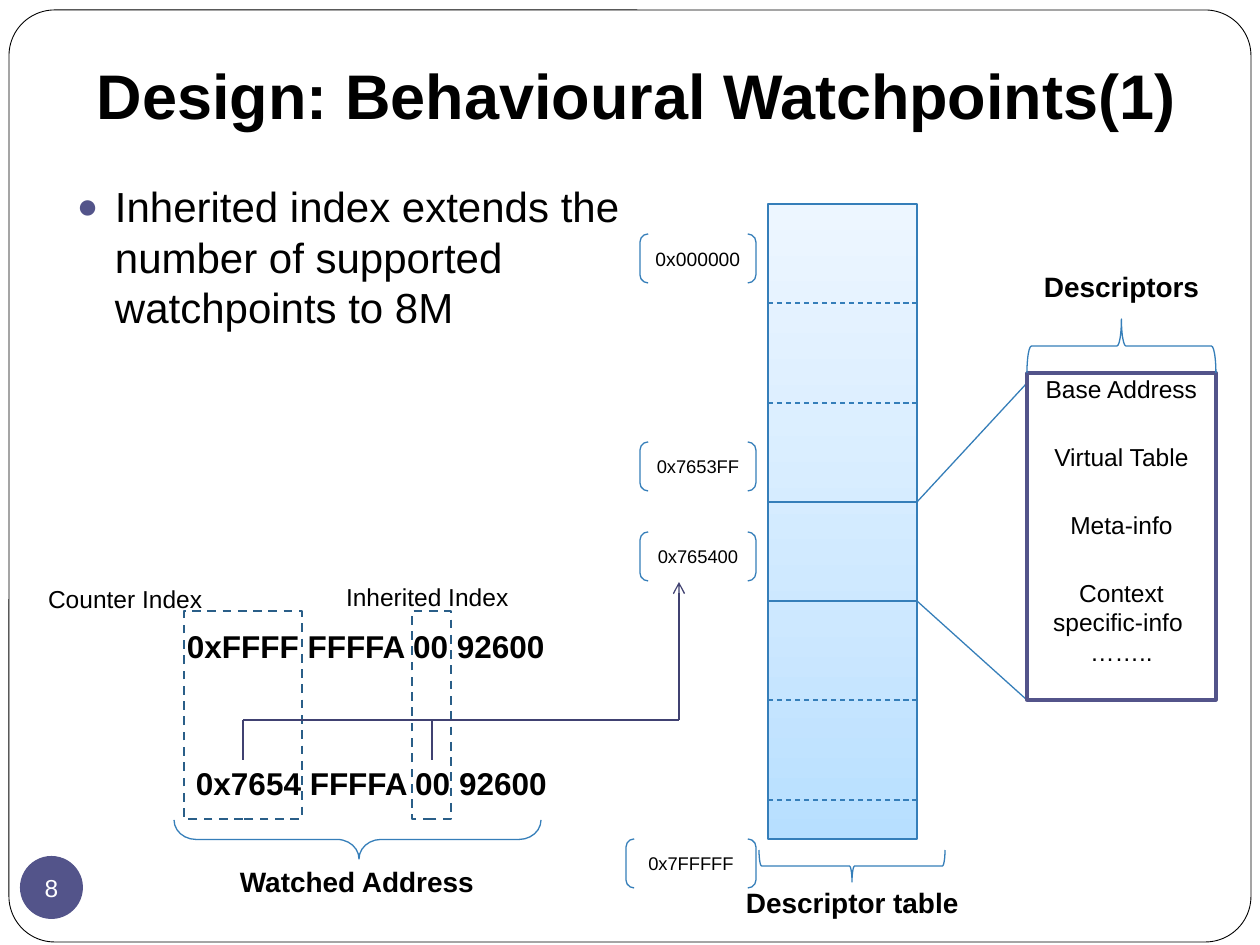
from copy import deepcopy

from lxml import etree
from pptx import Presentation
from pptx.dml.color import RGBColor
from pptx.enum.dml import MSO_LINE
from pptx.enum.shapes import MSO_CONNECTOR, MSO_SHAPE
from pptx.enum.text import MSO_ANCHOR, MSO_AUTO_SIZE, PP_ALIGN
from pptx.oxml.ns import qn
from pptx.util import Pt

PX = 914400 / 126
FONT = "Arial"
BLACK, WHITE, ACCENT = "000000", "FFFFFF", "53548A"
BLUE, DARK_BLUE, PURPLE = "357EB9", "2A5E88", "404171"
LEFT, CENTER = PP_ALIGN.LEFT, PP_ALIGN.CENTER
TOP, MIDDLE, BOTTOM = MSO_ANCHOR.TOP, MSO_ANCHOR.MIDDLE, MSO_ANCHOR.BOTTOM
DASH = MSO_LINE.DASH
RECTANGLE, ROUNDED, ELLIPSE = MSO_SHAPE.RECTANGLE, MSO_SHAPE.ROUNDED_RECTANGLE, MSO_SHAPE.OVAL
BRACKETS, BRACE = MSO_SHAPE.DOUBLE_BRACKET, MSO_SHAPE.RIGHT_BRACE


def px(*lengths):
    return [round(length * PX) for length in lengths]


def color(hex_string):
    return RGBColor.from_string(hex_string)


def write(shape, text, size=14, bold=False, hue=BLACK, align=LEFT, anchor=TOP,
          insets=(13, 6, 13, 6), wrap=True, gaps=()):
    """Write one paragraph per line of text; gaps are points before each."""
    frame = shape.text_frame
    frame.auto_size = MSO_AUTO_SIZE.NONE
    frame.word_wrap = wrap
    frame.vertical_anchor = anchor
    (frame.margin_left, frame.margin_top,
     frame.margin_right, frame.margin_bottom) = px(*insets)
    for index, line in enumerate(text.split("\n")):
        paragraph = frame.add_paragraph() if index else frame.paragraphs[0]
        paragraph.alignment = align
        if gaps:
            paragraph.space_before = Pt(gaps[index])
        run = paragraph.add_run()
        run.text = line
        run.font.name, run.font.size, run.font.bold = FONT, Pt(size), bold
        run.font.color.rgb = color(hue)


class Canvas:
    """Holds the current slide and draws each kind of element on it."""

    def __init__(self, slide, line_color=BLUE, line_width=0.75):
        self.slide = slide
        self.line_color = line_color
        self.line_width = line_width

    def style_line(self, line, hue, width, dash):
        line.color.rgb = color(hue or self.line_color)
        line.width = Pt(width or self.line_width)
        if dash:
            line.dash_style = dash

    def title(self, text, box):
        shape = self.slide.shapes.title
        shape.left, shape.top, shape.width, shape.height = px(*box)
        write(shape, text, size=36, bold=True, anchor=BOTTOM, insets=(13, 6, 13, 13))

    def text(self, text, box, **style):
        shape = self.slide.shapes.add_textbox(*px(*box))
        write(shape, text, **style)
        return shape

    def bullet(self, text, box):
        paragraph = self.text(text, box, size=24).text_frame.paragraphs[0]
        properties = paragraph._p.get_or_add_pPr()
        indent = px(38)[0]
        properties.set("marL", str(indent))
        properties.set("indent", str(-indent))
        bullet_color = etree.SubElement(properties, qn("a:buClr"))
        etree.SubElement(bullet_color, qn("a:srgbClr"), val=ACCENT)
        etree.SubElement(properties, qn("a:buSzPct"), val="85000")
        etree.SubElement(properties, qn("a:buFont"), typeface=FONT)
        etree.SubElement(properties, qn("a:buChar"), char="●")

    def shape(self, kind, box, fill=None, hue=None, width=None, dash=None, outlined=True):
        shape = self.slide.shapes.add_shape(kind, *px(*box))
        shape.shadow.inherit = False
        if fill:
            shape.fill.solid()
            shape.fill.fore_color.rgb = color(fill)
        else:
            shape.fill.background()
        if outlined:
            self.style_line(shape.line, hue, width, dash)
        else:
            shape.line.fill.background()
        return shape

    def gradient(self, shape, stops):
        """Fill from bottom to top with (position, colour) stops."""
        shape.fill.gradient()
        shape.fill.gradient_angle = 90
        stop_list = shape._element.spPr.find(qn("a:gradFill")).find(qn("a:gsLst"))
        while len(stop_list) < len(stops):
            stop_list.append(deepcopy(stop_list[0]))
        for stop, (position, hue) in zip(shape.fill.gradient_stops, stops):
            stop.position = position
            stop.color.rgb = color(hue)

    def brace(self, box, rotation, curve, point=0.5):
        """Draw a brace turned by a quarter, filling the box as seen."""
        left, top, width, height = box
        shift = (width - height) / 2
        shape = self.shape(BRACE, (left + shift, top - shift, height, width))
        shape.rotation = rotation
        shape.adjustments[0], shape.adjustments[1] = curve, point

    def line(self, start, end, hue=None, dash=None, arrow=False):
        line = self.slide.shapes.add_connector(MSO_CONNECTOR.STRAIGHT, *px(*start, *end))
        self.style_line(line.line, hue, None, dash)
        if arrow:
            etree.SubElement(line.line._get_or_add_ln(), qn("a:tailEnd"), type="arrow")
        etree.SubElement(line._element.spPr, qn("a:effectLst"))


def draw_descriptor_table(canvas):
    left, top, width, height = 768, 204, 149, 635
    right, row_height = left + width, 99.3
    table = canvas.shape(RECTANGLE, (left, top, width, height))
    canvas.gradient(table, [(0, "B7DFFF"), (0.35, "CDE8FF"), (1, "EDF6FF")])
    for row in range(1, 7):
        y = round(top + row * row_height)
        canvas.line((left, y), (right, y), dash=None if row in (3, 4) else DASH)

    for address, x, y, size in [("0x000000", 640, 234, 11), ("0x7653FF", 640, 442, 10.5),
                                ("0x765400", 640, 532, 10.5), ("0x7FFFFF", 626, 839, 10.5)]:
        label = canvas.shape(BRACKETS, (x, y, 756 - x, 49))
        write(label, address, size=size, align=CENTER, anchor=MIDDLE)
    canvas.brace((759, 850, 186, 32), 90, 0.083)
    canvas.text("Descriptor table", (733, 879, 265, 47), size=16, bold=True)


def draw_watched_address(canvas):
    canvas.text("0xFFFF FFFFA 00 92600", (174, 621, 389, 50), size=18, bold=True)
    canvas.text("0x7654 FFFFA 00 92600", (183, 758, 389, 50), size=18, bold=True)
    for left, width in [(184, 118), (412, 39)]:
        canvas.shape(RECTANGLE, (left, 611, width, 208), hue=DARK_BLUE, width=1.25, dash=DASH)
    canvas.text("Counter Index", (35, 578, 219, 43))
    canvas.text("Inherited Index", (333, 576, 219, 43))
    canvas.brace((174, 820, 367, 39), 90, 0.561, 0.496)
    canvas.text("Watched Address", (227, 859, 265, 47), size=16, bold=True)

    bus_y, arrow_x = 720, 679
    canvas.line((243, bus_y), (arrow_x, bus_y), PURPLE)
    for x in (243, 432):
        canvas.line((x, bus_y), (x, 760), PURPLE)
    canvas.line((arrow_x, bus_y), (arrow_x, 582), PURPLE, arrow=True)


def draw_descriptors(canvas):
    canvas.line((917, 502), (1027, 383))
    canvas.line((917, 601), (1027, 700))
    box = canvas.shape(RECTANGLE, (1027, 373, 189, 327), fill=WHITE, hue=ACCENT, width=2)
    write(box, "Base Address\nVirtual Table\nMeta-info\nContext specific-info \n……..",
          align=CENTER, insets=(13, 1, 13, 0), gaps=(0, 22, 22, 22, 0))
    canvas.brace((1027, 319, 189, 54), 270, 0.083)
    canvas.text("Descriptors", (1031, 264, 265, 47), size=16, bold=True)


def main():
    presentation = Presentation()
    presentation.slide_width, presentation.slide_height = px(1260, 945)
    title_only = presentation.slide_layouts[5]
    canvas = Canvas(presentation.slides.add_slide(title_only))

    frame = canvas.shape(ROUNDED, (9, 10, 1242, 932), hue=BLACK, width=0.5)
    frame.adjustments[0] = 0.049
    canvas.title("Design: Behavioural Watchpoints(1)", (84, -13, 1113, 158))
    badge = canvas.shape(ELLIPSE, (20, 856, 63, 63), fill=ACCENT, outlined=False)
    write(badge, "8", hue=WHITE, align=CENTER, anchor=MIDDLE, insets=(0, 0, 0, 0), wrap=False)
    canvas.bullet("Inherited index extends the number of supported watchpoints to 8M",
                  (64, 175, 615, 287))
    draw_descriptor_table(canvas)
    draw_watched_address(canvas)
    draw_descriptors(canvas)
    presentation.save("out.pptx")


if __name__ == "__main__":
    main()
